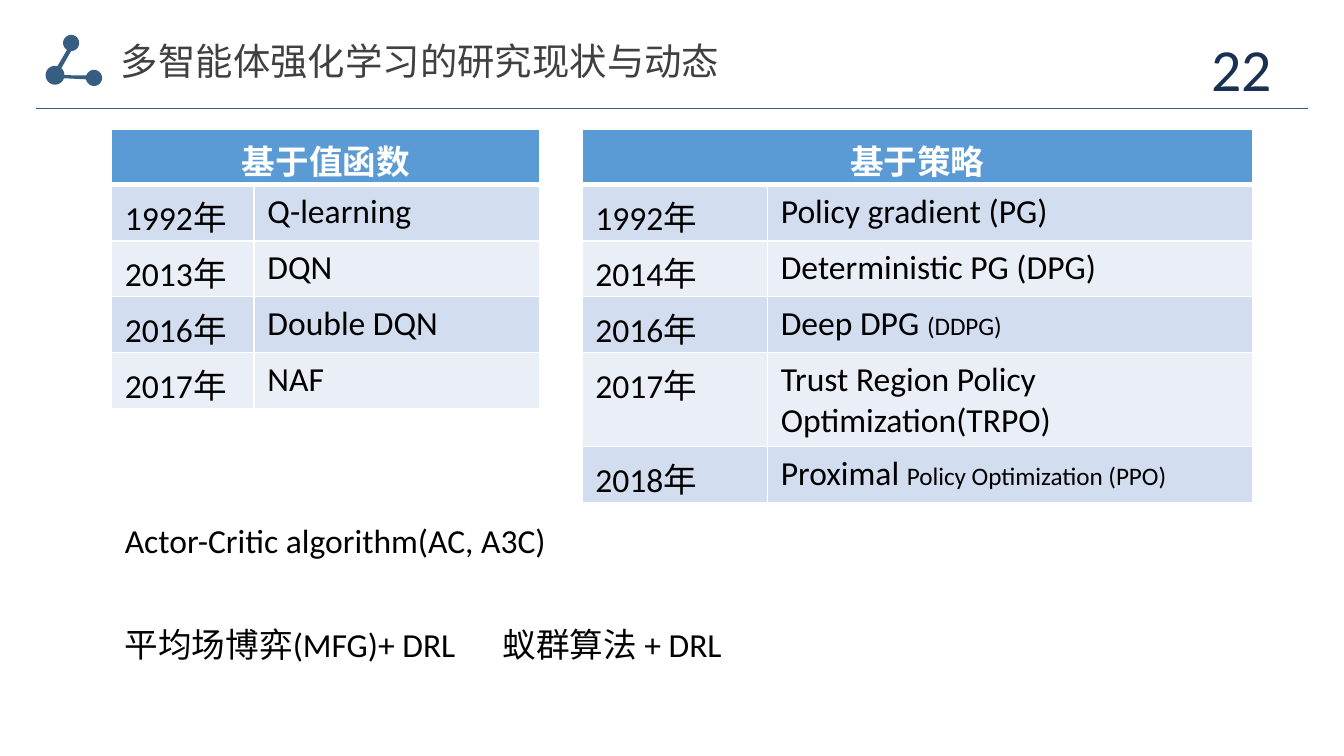
from dataclasses import dataclass
from math import cos, radians, sin

from lxml.etree import SubElement
from pptx import Presentation
from pptx.dml.color import RGBColor
from pptx.enum.shapes import MSO_CONNECTOR
from pptx.enum.text import MSO_ANCHOR, PP_ALIGN
from pptx.oxml.ns import qn
from pptx.util import Inches, Pt


@dataclass(frozen=True)
class Theme:
    latin: str = "Calibri"
    cjk: str = "Noto Sans CJK SC"
    steel: str = "375D81"
    navy: str = "183052"
    gray: str = "404040"
    black: str = "000000"
    white: str = "FFFFFF"
    head: str = "5B9BD5"
    bands: tuple = ("D2DEEF", "EAEFF7")
    small: float = 13.5
    body: float = 18
    title: float = 20
    number: float = 32


T = Theme()
ROW = 2.08 / 5


def color(code):
    return RGBColor.from_string(code)


def write(frame, text, size=T.body, ink=T.black, font=T.latin, bold=False,
          align=PP_ALIGN.LEFT, tab=None):
    """Write one paragraph; text is a string or a list of (string, size) runs."""
    para = frame.paragraphs[0]
    para.alignment = align
    if tab:
        stops = SubElement(para._p.get_or_add_pPr(), qn("a:tabLst"))
        SubElement(stops, qn("a:tab"), pos=str(Inches(tab)), algn="l")
    for part, points in [(text, size)] if isinstance(text, str) else text:
        run = para.add_run()
        run.text = part
        run.font.size = Pt(points)
        run.font.bold = bold
        run.font.name = font
        run.font.color.rgb = color(ink)
        SubElement(run._r.get_or_add_rPr(), qn("a:ea"), typeface=T.cjk)


def add_text(slide, box, text, anchor=MSO_ANCHOR.TOP, **form):
    frame = slide.shapes.add_textbox(*map(Inches, box)).text_frame
    frame.word_wrap = True
    frame.vertical_anchor = anchor
    write(frame, text, **form)
    return frame


def add_icon(slide, left, top):
    """Draw three joined dots as one outline, made of an arc around each dot."""
    hub, peak, end = (0.07, 0.3, 0.07), (0.19, 0.06, 0.06), (0.36, 0.32, 0.06)
    arcs = [(peak, 121, 450), (hub, -48, 0), (end, 198, 530), (hub, 19, 285)]
    points = []
    for (x, y, radius), start, stop in arcs:
        for step in range(25):
            turn = radians(start + (stop - start) * step / 24)
            points.append((Inches(left + x + radius * cos(turn)),
                           Inches(top + y + radius * sin(turn))))
    pen = slide.shapes.build_freeform(*points[0])
    pen.add_line_segments(points[1:], close=True)
    icon = pen.convert_to_shape()
    icon.shadow.inherit = False
    icon.fill.solid()
    icon.fill.fore_color.rgb = color(T.steel)
    icon.line.fill.background()


def add_header(slide, left, top, width, title, number):
    add_icon(slide, left + 0.07, top + 0.26)
    y = Inches(top + 0.81)
    rule = slide.shapes.add_connector(
        MSO_CONNECTOR.STRAIGHT, Inches(left), y, Inches(left + width), y)
    rule.line.color.rgb = color(T.steel)
    rule.line.width = Pt(0.5)
    SubElement(rule._element.spPr, qn("a:effectLst"))
    add_text(slide, (left + width - 2.42, top + 0.35, 2.25, 0.3), number,
             anchor=MSO_ANCHOR.MIDDLE, size=T.number, ink=T.navy,
             align=PP_ALIGN.RIGHT)
    frame = add_text(slide, (left + 0.56, top + 0.24, 5.24, 0.41), title,
                     size=T.title, ink=T.gray, font=T.cjk)
    frame.margin_left = frame.margin_right = Inches(0.07)
    frame.margin_top = frame.margin_bottom = Inches(0.04)


def paint(cell, fill, base=1):
    """Give a cell white borders, base points wide below, and a fill."""
    props = cell._tc.get_or_add_tcPr()
    for side in ("L", "R", "T", "B"):
        width = base if side == "B" else 1
        edge = SubElement(props, qn(f"a:ln{side}"), w=str(Pt(width)))
        paper = SubElement(edge, qn("a:solidFill"))
        SubElement(paper, qn("a:srgbClr"), val=T.white)
    cell.fill.solid()
    cell.fill.fore_color.rgb = color(fill)


def add_history(slide, left, top, widths, title, items):
    """Add a table of (year, method) rows under one merged heading."""
    count = len(items) + 1
    grid = slide.shapes.add_table(
        count, 2, Inches(left), Inches(top),
        Inches(sum(widths)), Inches(ROW * count)).table
    for column, width in zip(grid.columns, widths):
        column.width = Inches(width)
    for row in grid.rows:
        row.height = Inches(ROW)
    for cell in grid.rows[0].cells:
        paint(cell, T.head, base=3)
    grid.cell(0, 0).merge(grid.cell(0, 1))
    write(grid.cell(0, 0).text_frame, title, ink=T.white, bold=True,
          align=PP_ALIGN.CENTER)
    for row, (year, method) in enumerate(items, 1):
        for col, text in enumerate((f"{year}年", method)):
            cell = grid.cell(row, col)
            paint(cell, T.bands[(row - 1) % 2])
            write(cell.text_frame, text)


def add_notes(slide, left, top):
    add_text(slide, (left, top + 0.77, 9.45, 0.4),
             "平均场博弈(MFG)+ DRL\t蚁群算法 + DRL", tab=2.81)
    add_text(slide, (left, top, 7.31, 0.4), "Actor-Critic algorithm(AC, A3C)")


def main():
    deck = Presentation()
    deck.slide_width = Inches(10)
    deck.slide_height = deck.slide_width * 9 // 16
    slide = deck.slides.add_slide(deck.slide_layouts[6])
    add_header(slide, 0.27, 0, 9.46, "多智能体强化学习的研究现状与动态", "22")
    add_history(slide, 0.83, 0.96, (1.06, 2.13), "基于值函数", [
        (1992, "Q-learning"),
        (2013, "DQN"),
        (2016, "Double DQN"),
        (2017, "NAF"),
    ])
    add_history(slide, 4.33, 0.96, (1.38, 3.61), "基于策略", [
        (1992, "Policy gradient (PG)"),
        (2014, "Deterministic PG (DPG)"),
        (2016, [("Deep DPG ", T.body), ("(DDPG)", T.small)]),
        (2017, "Trust Region Policy Optimization(TRPO)"),
        (2018, [("Proximal ", T.body), ("Policy Optimization (PPO)", T.small)]),
    ])
    add_notes(slide, 0.83, 3.82)
    deck.save("out.pptx")


if __name__ == "__main__":
    main()
